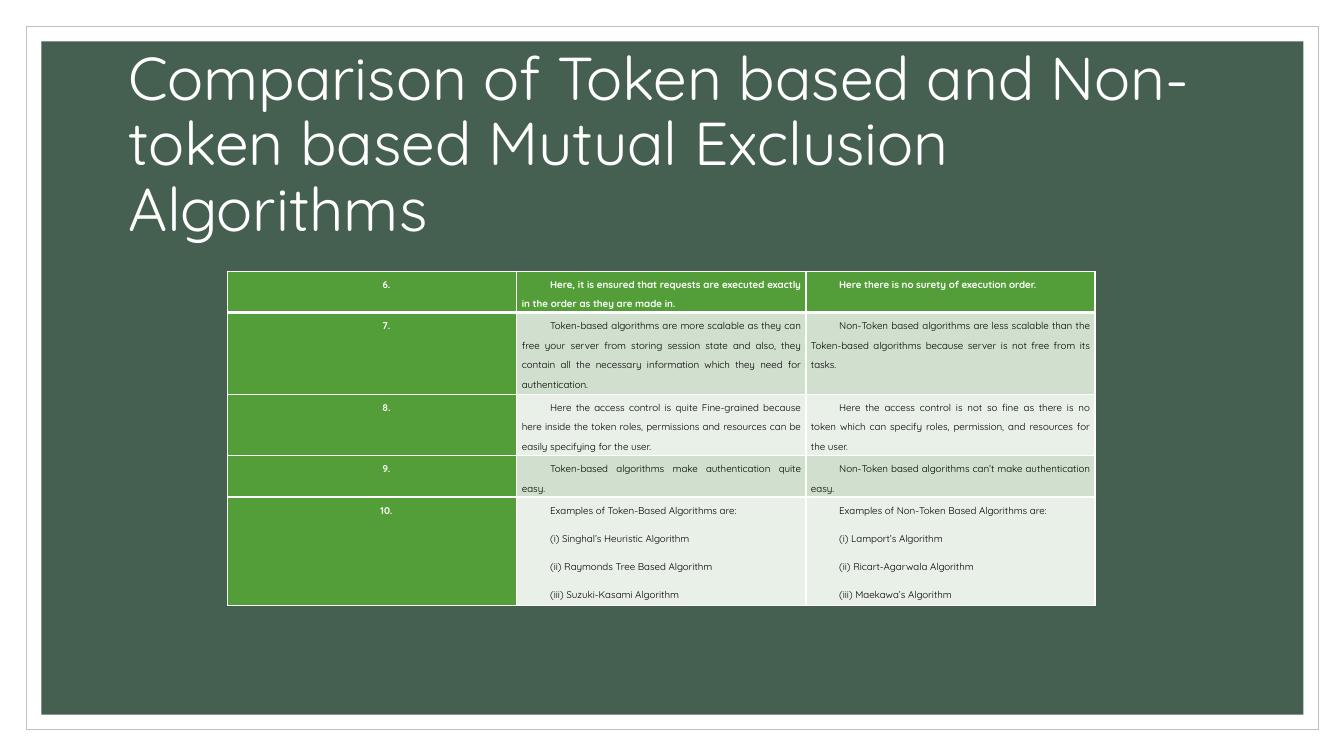
from dataclasses import dataclass

from lxml import etree
from pptx import Presentation
from pptx.dml.color import RGBColor
from pptx.enum.shapes import MSO_SHAPE
from pptx.enum.text import MSO_ANCHOR, MSO_AUTO_SIZE, PP_ALIGN
from pptx.oxml.ns import qn
from pptx.util import Emu, Inches, Pt

RECT = MSO_SHAPE.RECTANGLE
MIDDLE = MSO_ANCHOR.MIDDLE
NO_FIT = MSO_AUTO_SIZE.NONE
LEFT, CENTER, JUSTIFY = PP_ALIGN.LEFT, PP_ALIGN.CENTER, PP_ALIGN.JUSTIFY

WIDTH, HEIGHT = Inches(13.33), Inches(7.5)
FONT = "Quicksand"
COLORS = {
    "white": "FFFFFF", "black": "000000", "edge": "BFBFBF",
    "board": "455F51", "green": "549E39", "dark": "D1DFCE", "light": "E9F0E8",
}


@dataclass
class Box:
    """A place on the slide, in percent of its width and height."""
    left: float
    top: float
    width: float
    height: float

    def place(self) -> tuple[Emu, Emu, Emu, Emu]:
        return across(self.left), down(self.top), across(self.width), down(self.height)


@dataclass
class Frame:
    box: Box
    fill: str
    line: str | None = None


@dataclass
class Row:
    height: float
    number: str
    token: str
    other: str


FRAMES = [
    Frame(Box(1.95, 3.47, 96.15, 93.07), "white", "edge"),
    Frame(Box(3.08, 5.47, 93.9, 89.07), "board"),
]
TITLE = "Comparison of Token based and Non-token based Mutual Exclusion Algorithms"
TITLE_BOX = Box(8.78, 9.33, 82.5, 20)
GRID_BOX = Box(16.95, 35.87, 64.53, 44.27)
ROWS = [
    Row(5.47, "6.",
        "Here, it is ensured that requests are executed exactly in the order as they are made in.",
        "Here there is no surety of execution order."),
    Row(10.8, "7.",
        "Token-based algorithms are more scalable as they can free your server from storing "
        "session state and also, they contain all the necessary information which they need "
        "for authentication.",
        "Non-Token based algorithms are less scalable than the Token-based algorithms because "
        "server is not free from its tasks."),
    Row(8.13, "8.",
        "Here the access control is quite Fine-grained because here inside the token roles, "
        "permissions and resources can be easily specifying for the user.",
        "Here the access control is not so fine as there is no token which can specify roles, "
        "permission, and resources for the user."),
    Row(5.47, "9.",
        "Token-based algorithms make authentication quite easy.",
        "Non-Token based algorithms can’t make authentication easy."),
    Row(14.4, "10.",
        "Examples of Token-Based Algorithms are:\n(i) Singhal’s Heuristic Algorithm\n"
        "(ii) Raymonds Tree Based Algorithm\n(iii) Suzuki-Kasami Algorithm",
        "Examples of Non-Token Based Algorithms are:\n(i) Lamport’s Algorithm\n"
        "(ii) Ricart-Agarwala Algorithm\n(iii) Maekawa’s Algorithm"),
]


def across(share: float) -> Emu:
    return Emu(round(WIDTH * share / 100))


def down(share: float) -> Emu:
    return Emu(round(HEIGHT * share / 100))


def color(name: str) -> RGBColor:
    return RGBColor.from_string(COLORS[name])


def style(para, size: float, ink: str, bold: bool, align) -> None:
    para.alignment = align
    font = para.font
    font.name, font.size, font.bold = FONT, Pt(size), bold
    font.color.rgb = color(ink)


def draw_frame(slide, frame: Frame) -> None:
    shape = slide.shapes.add_shape(RECT, *frame.box.place())
    shape.shadow.inherit = False
    shape.fill.solid()
    shape.fill.fore_color.rgb = color(frame.fill)
    if frame.line:
        shape.line.color.rgb = color(frame.line)
        shape.line.width = Pt(0.5)
    else:
        shape.line.fill.background()


def draw_title(slide) -> None:
    title = slide.shapes.title
    title.left, title.top, title.width, title.height = TITLE_BOX.place()
    text = title.text_frame
    text.text = TITLE
    text.word_wrap, text.auto_size, text.vertical_anchor = True, NO_FIT, MIDDLE
    para = text.paragraphs[0]
    style(para, 43.2, "white", False, LEFT)
    para.line_spacing = 0.9
    slide.shapes._spTree.append(title._element)  # in front of the frames


def draw_edges(cell, row: int) -> None:
    """Rule the cell in white, with a thick line below the first row."""
    props = cell._tc.get_or_add_tcPr()
    widths = {"lnL": 1, "lnR": 1, "lnT": 3 if row == 1 else 1, "lnB": 3 if row == 0 else 1}
    for spot, (tag, width) in enumerate(widths.items()):
        edge = etree.Element(qn(f"a:{tag}"), w=str(Pt(width)))
        fill = etree.SubElement(edge, qn("a:solidFill"))
        etree.SubElement(fill, qn("a:srgbClr"), val=COLORS["white"])
        props.insert(spot, edge)


def fill_cell(cell, text: str, row: int, col: int) -> None:
    head = row == 0 or col == 0
    cell.text = text
    cell.margin_left = cell.margin_right = Inches(0.05)
    cell.margin_top = cell.margin_bottom = 0
    cell.fill.solid()
    cell.fill.fore_color.rgb = color("green" if head else "dark" if row % 2 else "light")
    for para in cell.text_frame.paragraphs:
        style(para, 7, "white" if head else "black", head, JUSTIFY if col else CENTER)
        para.line_spacing = Pt(14)
        para.space_before = para.space_after = Pt(3)
        para._p.get_or_add_pPr().set("indent", str(Inches(0.28)))
    draw_edges(cell, row)


def draw_table(slide) -> None:
    table = slide.shapes.add_table(len(ROWS), 3, *GRID_BOX.place()).table
    for col in table.columns:
        col.width = across(GRID_BOX.width / 3)
    for r, row in enumerate(ROWS):
        table.rows[r].height = down(row.height)
        for c, text in enumerate((row.number, row.token, row.other)):
            fill_cell(table.cell(r, c), text, r, c)


def main() -> None:
    deck = Presentation()
    deck.slide_width, deck.slide_height = WIDTH, HEIGHT
    slide = deck.slides.add_slide(deck.slide_layouts[5])
    for frame in FRAMES:
        draw_frame(slide, frame)
    draw_title(slide)
    draw_table(slide)
    deck.save("out.pptx")


if __name__ == "__main__":
    main()
